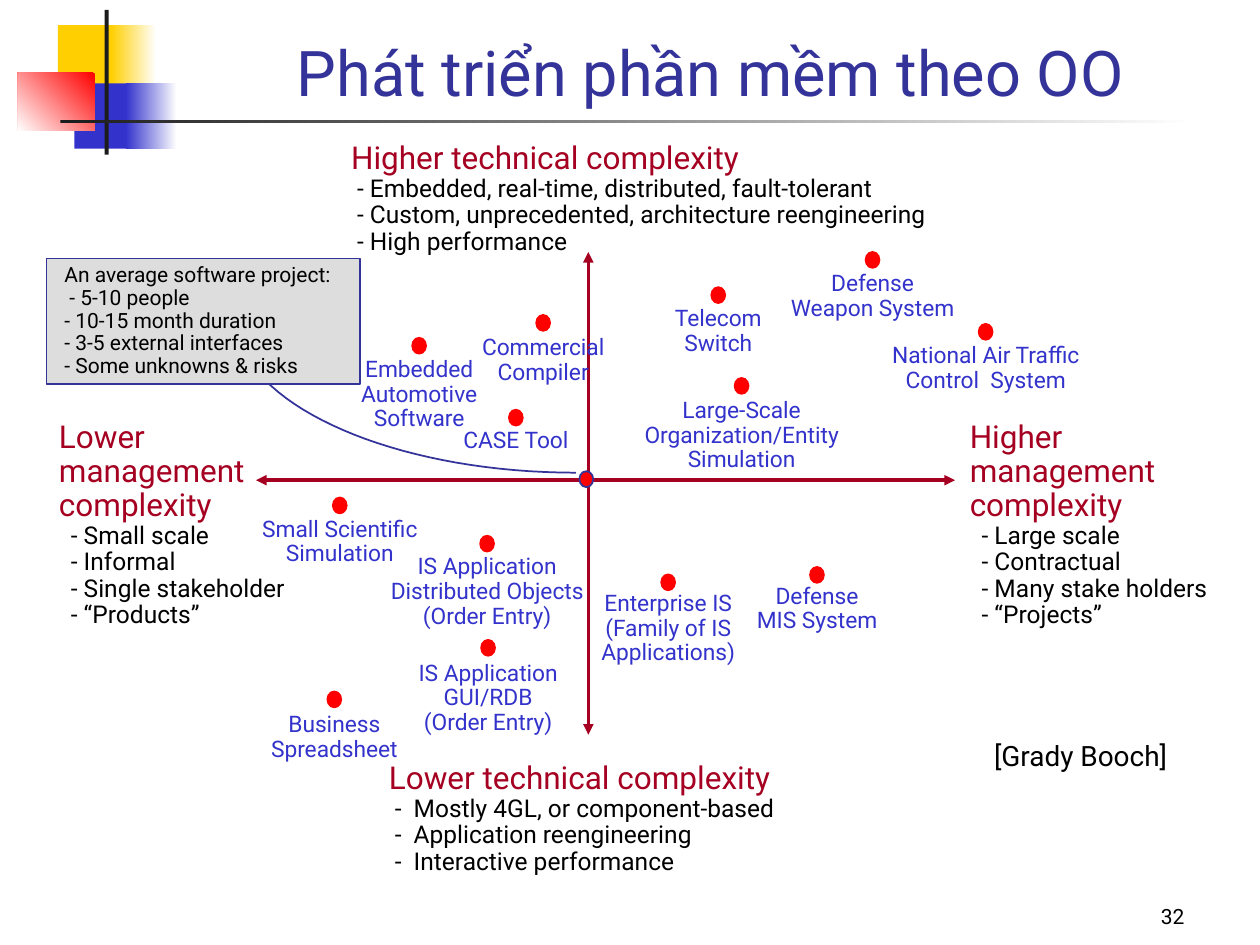
import pptx
import pptx.dml.color
import pptx.enum.shapes
import pptx.enum.text
import pptx.oxml.ns
import pptx.util
from lxml import etree
from pptx.util import Cm

SHAPE = pptx.enum.shapes.MSO_SHAPE
ALIGN = pptx.enum.text.PP_ALIGN
ANCHOR = pptx.enum.text.MSO_ANCHOR
FONT = "Roboto"
COLORS = {
    "yellow": "FFCF01", "blue": "3333CC", "red": "FF0000", "white": "FFFFFF",
    "dark": "1C1C1C", "navy": "333399", "crimson": "A50021",
    "grey": "DDDDDD", "black": "000000",
}

# Dot centre x, dot top, label top, label width, label (cm)
PROJECTS = [
    (16.47, 11.43, 11.66, 3.12, "Defense\nMIS System"),
    (17.59, 5.08, 5.36, 3.96, "Defense\vWeapon System"),
    (14.48, 5.79, 6.07, 2.44, "Telecom\nSwitch"),
    (10.4, 8.26, 8.53, 2.64, "CASE Tool"),
    (19.87, 6.53, 6.81, 4.52, "National Air Traffic\nControl  System"),
    (13.47, 11.58, 11.81, 3.28, "Enterprise IS\n(Family of IS\nApplications)"),
    (10.95, 6.35, 6.65, 3.25, "Commercial\nCompiler"),
    (6.74, 13.94, 14.25, 3.2, "Business\nSpreadsheet"),
    (9.82, 10.8, 11.07, 4.78, "IS Application\nDistributed Objects\n(Order Entry)"),
    (6.85, 10.03, 10.31, 3.71, "Small Scientific\nSimulation"),
    (14.95, 7.62, 7.92, 4.7, "Large-Scale\nOrganization/Entity\nSimulation"),
    (8.45, 6.81, 7.09, 3.12, "Embedded\nAutomotive\nSoftware"),
    (9.84, 12.9, 13.21, 3.43, "IS Application\nGUI/RDB\n(Order Entry)"),
]

# Left, top, width, height, heading, items, item indent, hanging indent (cm)
AXIS_ENDS = [
    (6.83, 2.74, 13.08, 2.54, "Higher technical complexity",
     "- Embedded, real-time, distributed, fault-tolerant\n"
     "- Custom, unprecedented, architecture reengineering\n"
     "- High performance", 0.12, 0),
    (7.59, 15.24, 11.61, 2.54, "Lower technical complexity",
     "-\tMostly 4GL, or component-based\n-\tApplication reengineering\n"
     "-\tInteractive performance", 0.5, 0.38),
    (19.3, 8.36, 5.59, 4.45, "Higher\nmanagement\ncomplexity",
     "- Large scale\n- Contractual\n- Many stake holders\n- “Projects”", 0.24, 0),
    (0.94, 8.36, 5.36, 4.45, "Lower\nmanagement\ncomplexity",
     "- Small scale\n- Informal\n- Single stakeholder\n- “Products”", 0.24, 0),
]


def rgb(name):
    return pptx.dml.color.RGBColor.from_string(COLORS[name])


def write(tf, text, size, color, align=ALIGN.LEFT, spacing=0.9):
    tf.text = text
    for p in tf.paragraphs:
        p.alignment = align
        p.line_spacing = spacing
        style(p, size, color)


def style(p, size, color):
    for r in p.runs:
        r.font.name = FONT
        r.font.size = pptx.util.Pt(size)
        r.font.color.rgb = rgb(color)


def add_text(s, box, text, size, color, align=ALIGN.LEFT, spacing=0.9,
             anchor=ANCHOR.TOP, wrap=False):
    tf = s.shapes.add_textbox(*map(Cm, box)).text_frame
    tf.word_wrap = wrap
    tf.vertical_anchor = anchor
    write(tf, text, size, color, align, spacing)
    return tf


def add_block(s, kind, box, fill, line=None, fade_angle=None):
    """Add a filled shape; with fade_angle its fill fades to white."""
    sp = s.shapes.add_shape(kind, *map(Cm, box))
    sp.shadow.inherit = False
    if fade_angle is None:
        sp.fill.solid()
        sp.fill.fore_color.rgb = rgb(fill)
    else:
        sp.fill.gradient()
        sp.fill.gradient_angle = fade_angle
        for stop, color in zip(sp.fill.gradient_stops, (fill, "white")):
            stop.color.rgb = rgb(color)
    if line:
        sp.line.color.rgb = rgb(line)
        sp.line.width = pptx.util.Pt(1)
    else:
        sp.line.fill.background()
    return sp


def add_dot(s, x, top, line="red"):
    add_block(s, SHAPE.OVAL, (x - 0.14, top, 0.28, 0.32), "red", line)


def add_axis(s, x1, y1, x2, y2):
    cx = s.shapes.add_connector(pptx.enum.shapes.MSO_CONNECTOR.STRAIGHT,
                                *map(Cm, (x1, y1, x2, y2)))
    cx.line.color.rgb = rgb("crimson")
    cx.line.width = pptx.util.Pt(2)
    qn = pptx.oxml.ns.qn
    for end in ("a:headEnd", "a:tailEnd"):
        etree.SubElement(cx.line._get_or_add_ln(), qn(end), type="triangle")
    etree.SubElement(cx._element.spPr, qn("a:effectLst"))


def add_curve(s, controls, steps=32):
    """Draw a cubic Bezier curve through sampled points."""
    def point(t):
        weights = ((1 - t) ** 3, 3 * t * (1 - t) ** 2, 3 * t * t * (1 - t), t ** 3)
        return tuple(Cm(sum(w * c[i] for w, c in zip(weights, controls)))
                     for i in (0, 1))

    points = [point(i / steps) for i in range(steps + 1)]
    fb = s.shapes.build_freeform(*points[0])
    fb.add_line_segments(points[1:], close=False)
    sp = fb.convert_to_shape()
    sp.shadow.inherit = False
    sp.fill.background()
    sp.line.color.rgb = rgb("navy")
    sp.line.width = pptx.util.Pt(1)


def add_decoration(s):
    rect = SHAPE.RECTANGLE
    add_block(s, rect, (1.17, 0.51, 1.22, 1.32), "yellow")
    add_block(s, rect, (2.24, 0.51, 0.91, 1.32), "yellow", fade_angle=0)
    add_block(s, rect, (1.5, 1.68, 1.17, 1.32), "blue")
    add_block(s, rect, (2.54, 1.68, 1.02, 1.32), "blue", fade_angle=0)
    add_block(s, rect, (0.36, 1.47, 1.55, 1.17), "red", fade_angle=225)
    add_block(s, rect, (2.11, 0.2, 0.08, 2.92), "dark")
    add_block(s, rect, (1.22, 2.41, 22.86, 0.08), "dark", fade_angle=0)


def add_axis_end(s, left, top, width, height, heading, items, indent, hanging):
    tf = add_text(s, (left, top, width, height), heading + "\n" + items, 18, "crimson")
    for p in tf.paragraphs[heading.count("\n") + 1:]:
        pPr = p._p.get_or_add_pPr()
        pPr.set("marL", str(Cm(indent)))
        pPr.set("indent", str(-Cm(hanging)))
        style(p, 14, "black")


def add_project(s, x, dot_top, label_top, width, label):
    lines = len(label.splitlines())
    add_dot(s, x, dot_top)
    add_text(s, (x - width / 2, label_top, width, 0.25 + 0.49 * lines),
             label, 13, "blue", ALIGN.CENTER)


def add_callout(s):
    add_curve(s, [(11.61, 9.53), (8.23, 9.53), (5.33, 8.38), (4.8, 6.83)])
    add_dot(s, 11.82, 9.5, "navy")
    sp = add_block(s, SHAPE.RECTANGLE, (0.94, 5.21, 6.32, 2.54), "grey", "navy")
    tf = sp.text_frame
    tf.word_wrap = False
    tf.vertical_anchor = ANCHOR.TOP
    tf.margin_left = Cm(0.36)
    write(tf, "An average software project:\n- 5-10 people\n- 10-15 month duration\n"
          "- 3-5 external interfaces\n- Some unknowns & risks", 12, "black")
    tf.paragraphs[1]._p.get_or_add_pPr().set("marL", str(Cm(0.1)))


def main():
    prs = pptx.Presentation()
    prs.slide_width, prs.slide_height = Cm(25.4), Cm(19.05)
    s = prs.slides.add_slide(prs.slide_layouts[6])
    add_decoration(s)
    add_text(s, (3.81, 0.2, 21.03, 2.13), "Phát triển phần mềm theo OO", 36, "navy",
             ALIGN.CENTER, 1, ANCHOR.BOTTOM, True)
    add_axis(s, 11.86, 14.81, 11.86, 5.08)
    add_axis(s, 19.25, 9.68, 5.16, 9.68)
    for end in AXIS_ENDS:
        add_axis_end(s, *end)
    add_callout(s)
    for project in PROJECTS:
        add_project(s, *project)
    add_text(s, (19.51, 14.76, 4.27, 0.94), "[Grady Booch]", 16, "black",
             ALIGN.RIGHT, 1)
    add_text(s, (18.85, 17.58, 5.28, 1.27), "32", 12, "black",
             ALIGN.RIGHT, 1, ANCHOR.BOTTOM, True)
    prs.save("out.pptx")


if __name__ == "__main__":
    main()
